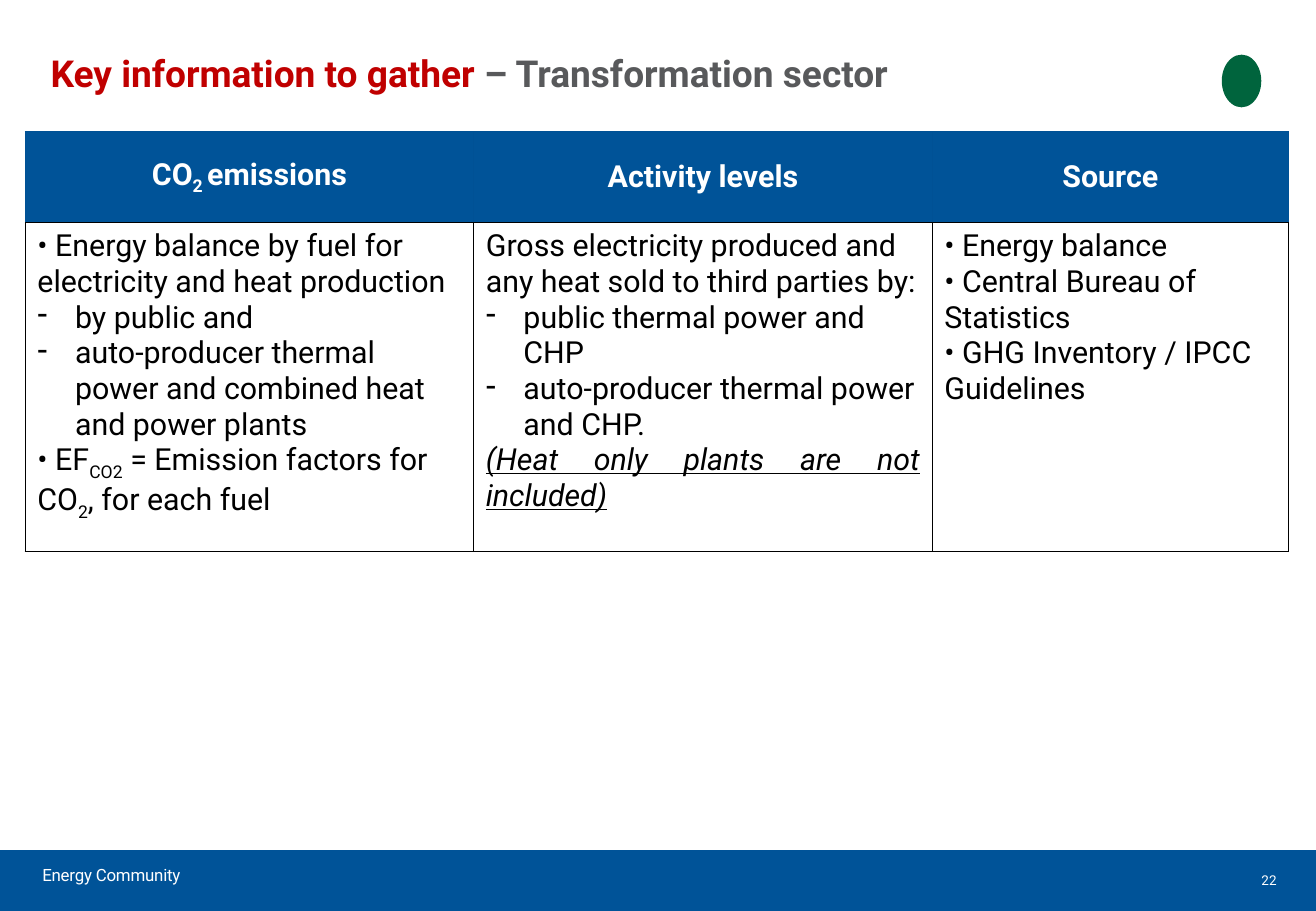
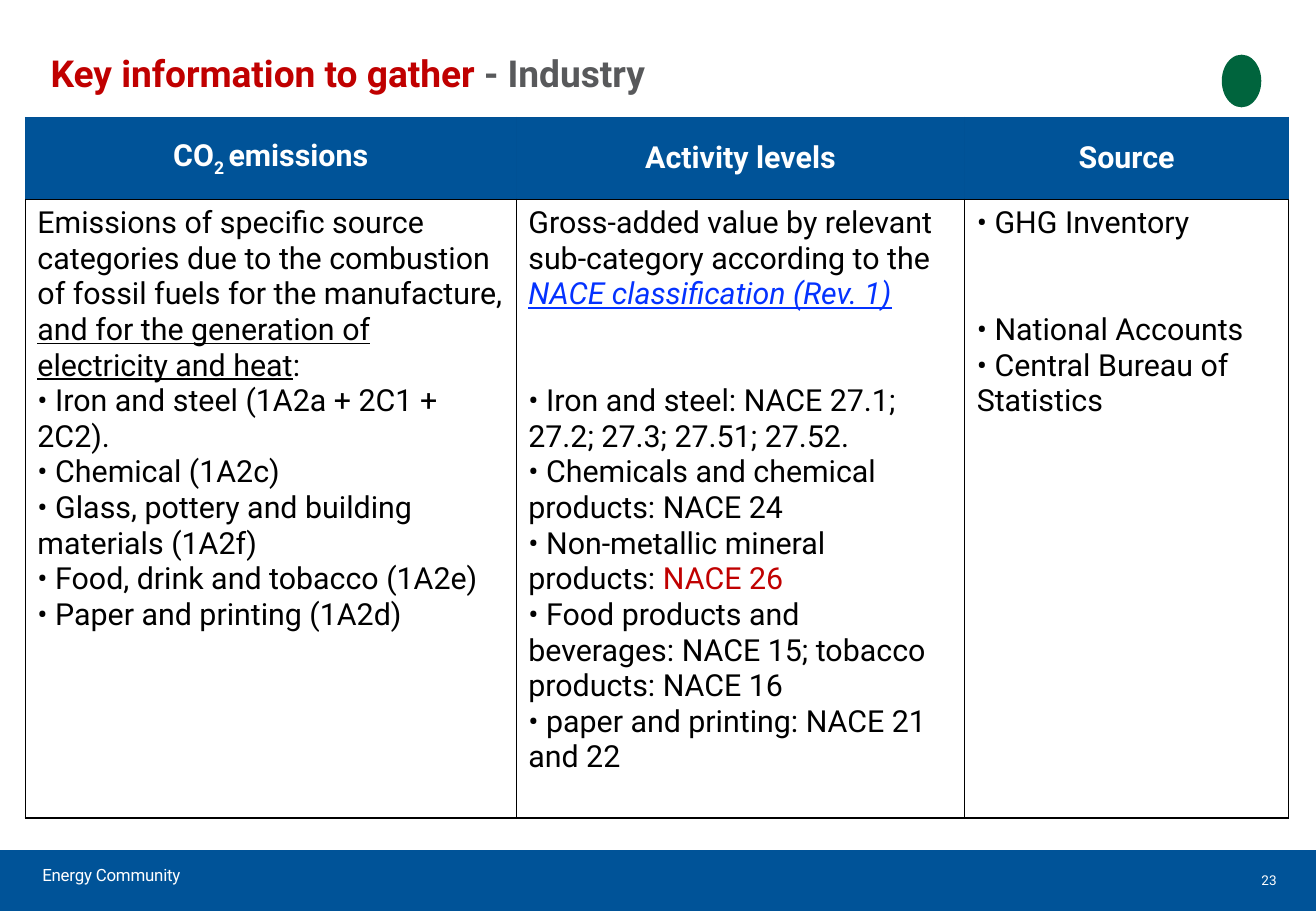
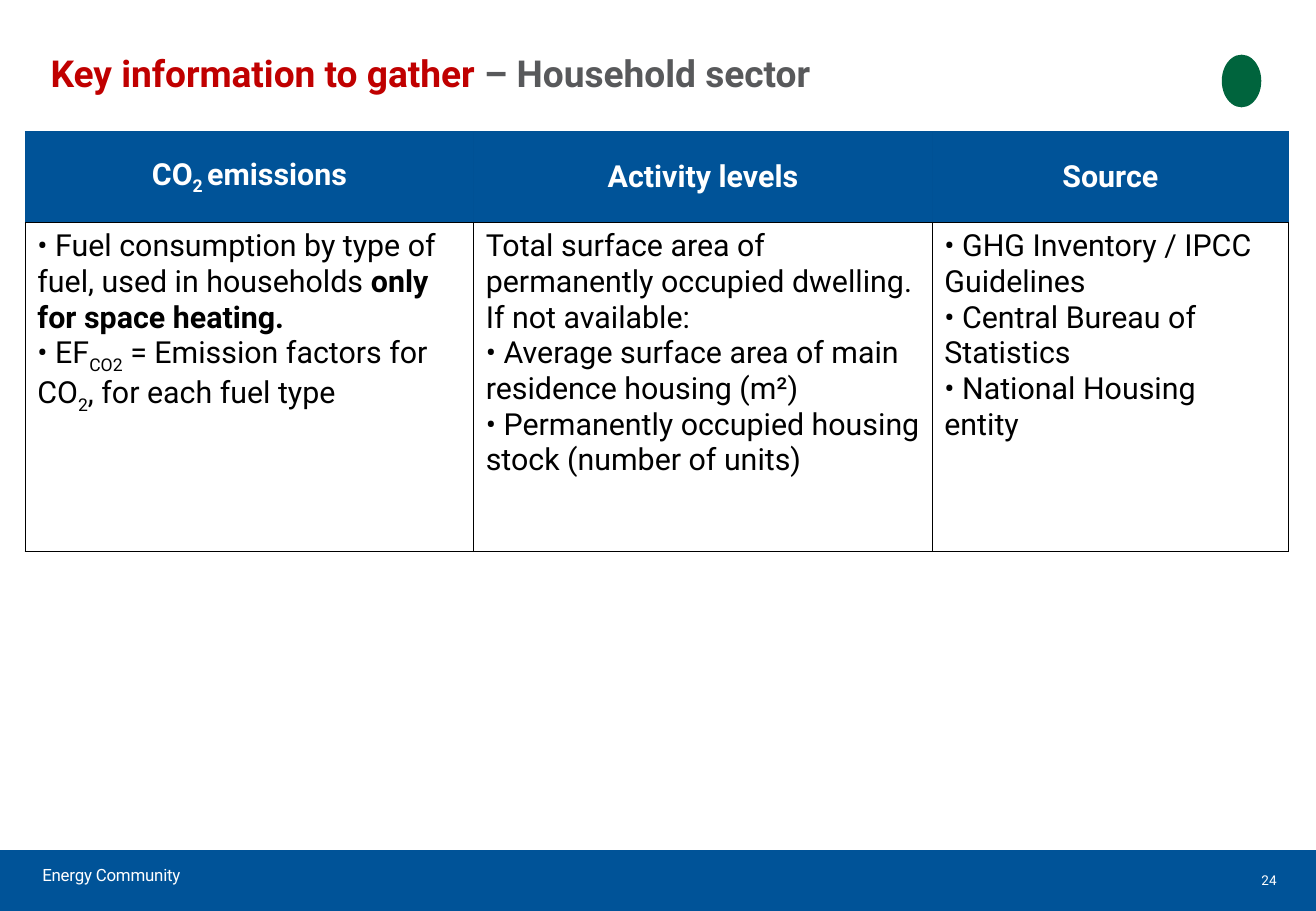
from lxml import etree
from pptx import Presentation
from pptx.dml.color import RGBColor
from pptx.enum.shapes import MSO_SHAPE
from pptx.enum.text import MSO_ANCHOR, PP_ALIGN
from pptx.oxml.ns import qn
from pptx.util import Inches, Pt

BLUE = RGBColor(0x00, 0x53, 0x98)
EDGE = RGBColor(0x00, 0x51, 0x95)
GREEN = RGBColor(0x00, 0x64, 0x3D)
RED = RGBColor(0xC0, 0x00, 0x00)
GREY = RGBColor(0x58, 0x59, 0x5B)
LINK = RGBColor(0x04, 0x32, 0xFF)
BLACK = RGBColor(0x00, 0x00, 0x00)
WHITE = RGBColor(0xFF, 0xFF, 0xFF)

LEFT, CENTER = PP_ALIGN.LEFT, PP_ALIGN.CENTER
RIGHT, JUSTIFY = PP_ALIGN.RIGHT, PP_ALIGN.JUSTIFY
TOP, MIDDLE = MSO_ANCHOR.TOP, MSO_ANCHOR.MIDDLE
RECT, OVAL = MSO_SHAPE.RECTANGLE, MSO_SHAPE.OVAL

FONT = "Roboto"
COLS, ROWS = 1300, 900  # slide grid of square units
UNIT = Inches(1) / 120
GAP = 42.2  # two lines of body text, in points


def grid(*cells):
    return [round(cell * UNIT) for cell in cells]


# Text: a paragraph is (runs, format), a run is a string or (string, format)
def para(*runs, **form):
    return runs, form


def sub(text):
    return text, {"base": -25}


def dash(text):
    return para(text, dash=True)


def style(run, size=18, color=BLACK, bold=False, italic=False,
          under=False, base=0, space=0):
    font = run.font
    font.name, font.size, font.color.rgb = FONT, Pt(size), color
    font.bold, font.italic, font.underline = bold, italic, under
    props = run._r.get_or_add_rPr()
    if base:
        props.set("baseline", str(base * 1000))
    if space:
        props.set("spc", str(round(space * 100)))


def write(frame, paras, align=LEFT, **form):
    for i, (runs, own) in enumerate(paras):
        line = frame.paragraphs[0] if i == 0 else frame.add_paragraph()
        line.alignment = own.get("align", align)
        if "before" in own:
            line.space_before = Pt(own["before"])
        if own.get("dash"):
            props = line._p.get_or_add_pPr()
            props.set("marL", str(Inches(0.31)))
            props.set("indent", str(-Inches(0.31)))
            etree.SubElement(props, qn("a:buChar")).set("char", "-")
        for item in runs:
            text, extra = (item, {}) if isinstance(item, str) else item
            run = line.add_run()
            run.text = text
            style(run, **{**form, **extra})


def label(slide, box, *runs, anchor=MIDDLE, inset=True, **form):
    frame = slide.shapes.add_textbox(*grid(*box)).text_frame
    frame.word_wrap = True
    frame.vertical_anchor = anchor
    if not inset:
        frame.margin_left = frame.margin_right = 0
        frame.margin_top = frame.margin_bottom = 0
    write(frame, [para(*runs)], **form)


def block(slide, kind, box, color):
    shape = slide.shapes.add_shape(kind, *grid(*box))
    shape.shadow.inherit = False
    shape.fill.solid()
    shape.fill.fore_color.rgb = color
    shape.line.fill.background()


# Shared parts: band, footer, page number, emblem and title
def base(deck, topic, page):
    slide = deck.slides.add_slide(deck.slide_layouts[6])
    band = 840
    block(slide, RECT, (0, band, COLS, ROWS - band), BLUE)
    block(slide, OVAL, (1207, 54, 39, 52), GREEN)
    label(slide, (30, band + 8, 650, 32), "Energy Community",
          size=10, color=WHITE, space=-0.1)
    label(slide, (50, 50, 930, 47), "Key information to gather ",
          (topic, {"color": GREY}), anchor=TOP, inset=False,
          size=22, color=RED, bold=True)
    label(slide, (980, band, 293, ROWS - band), str(page),
          align=RIGHT, size=8, color=WHITE)
    return slide


# Table cells
def border(cell, sides):
    props = cell._tc.get_or_add_tcPr()
    for i, (side, (color, width)) in enumerate(sides.items()):
        line = etree.Element(qn("a:ln" + side), w=str(Pt(width)))
        fill = etree.SubElement(line, qn("a:solidFill"))
        etree.SubElement(fill, qn("a:srgbClr")).set("val", str(color))
        props.insert(i, line)


def fill(cell, paras, head):
    cell.fill.solid()
    cell.fill.fore_color.rgb = BLUE if head else WHITE
    cell.vertical_anchor = MIDDLE if head else TOP
    dark, rim = (BLACK, 1), (EDGE, 0.75)
    side = rim if head else dark
    border(cell, {"L": side, "R": side, "T": side, "B": dark})
    if head:
        write(cell.text_frame, paras, align=CENTER, color=WHITE, bold=True)
    else:
        write(cell.text_frame, paras)


HEAD = [
    [para("CO", sub("2 "), "emissions")],
    [para("Activity levels")],
    [para("Source")],
]


def table(slide, top, widths, heights, body):
    box = grid(25, top, sum(widths), sum(heights))
    tab = slide.shapes.add_table(2, len(widths), *box).table
    tab.first_row = tab.horz_banding = False
    for col, width in zip(tab.columns, grid(*widths)):
        col.width = width
    for row, height in zip(tab.rows, grid(*heights)):
        row.height = height
    for r, cells in enumerate((HEAD, body)):
        for c, paras in enumerate(cells):
            fill(tab.cell(r, c), paras, head=r == 0)


def factor(end):
    return para("• EF", sub("CO2"), " = Emission factors for CO", sub("2"), end)


SHORT = {"top": 130, "widths": (443, 453, 352), "heights": (90, 325)}
LONG = {"top": 116, "widths": (485, 443, 320), "heights": (81, 611)}

POWER = [
    [para("• Energy balance by fuel for electricity and heat production"),
     dash("by public and"),
     dash("auto-producer thermal power and combined heat and power plants"),
     factor(", for each fuel")],
    [para("Gross electricity produced and any heat sold to third parties by:"),
     dash("public thermal power and CHP"),
     dash("auto-producer thermal power and CHP."),
     para(("(Heat only plants are not included)",
           {"italic": True, "under": True}), align=JUSTIFY)],
    [para("• Energy balance"),
     para("• Central Bureau of Statistics"),
     para("• GHG Inventory / IPCC Guidelines")],
]

INDUSTRY = [
    [para("Emissions of specific source categories due to the combustion of "
          "fossil fuels for the manufacture, ",
          ("and for the generation of electricity and heat",
           {"under": True}), ":"),
     para("• Iron and steel (1A2a + 2C1 + 2C2)."),
     para("• Chemical (1A2c)"),
     para("• Glass, pottery and building materials (1A2f)"),
     para("• Food, drink and tobacco (1A2e)"),
     para("• Paper and printing (1A2d)")],
    [para("Gross-added value by relevant sub-category according to the ",
          ("NACE classification (Rev. 1)",
           {"color": LINK, "italic": True, "under": True})),
     para("• Iron and steel: NACE 27.1; 27.2; 27.3; 27.51; 27.52.",
          before=GAP),
     para("• Chemicals and chemical products: NACE 24"),
     para("• Non-metallic mineral products: ", ("NACE 26", {"color": RED})),
     para("• Food products and beverages: NACE 15; "
          "tobacco products: NACE 16"),
     para("• paper and printing: NACE 21 and 22")],
    [para("• GHG Inventory"),
     para("• National Accounts", before=GAP),
     para("• Central Bureau of Statistics")],
]

HOMES = [
    [para("• Fuel consumption by type of fuel, used in households ",
          ("only for space heating.", {"bold": True})),
     factor(", for each fuel type")],
    [para("Total surface area of permanently occupied dwelling. "
          "If not available:"),
     para("• Average surface area of main residence housing (m²)"),
     para("• Permanently occupied housing stock (number of units)")],
    [para("• GHG Inventory / IPCC Guidelines"),
     para("• Central Bureau of Statistics"),
     para("• National Housing entity")],
]

PAGES = [
    ("– Transformation sector", SHORT, POWER),
    ("- Industry", LONG, INDUSTRY),
    ("– Household sector", SHORT, HOMES),
]


def main():
    deck = Presentation()
    deck.slide_width, deck.slide_height = grid(COLS, ROWS)
    for page, (topic, plan, body) in enumerate(PAGES, 22):
        table(base(deck, topic, page), body=body, **plan)
    deck.save("out.pptx")


if __name__ == "__main__":
    main()
